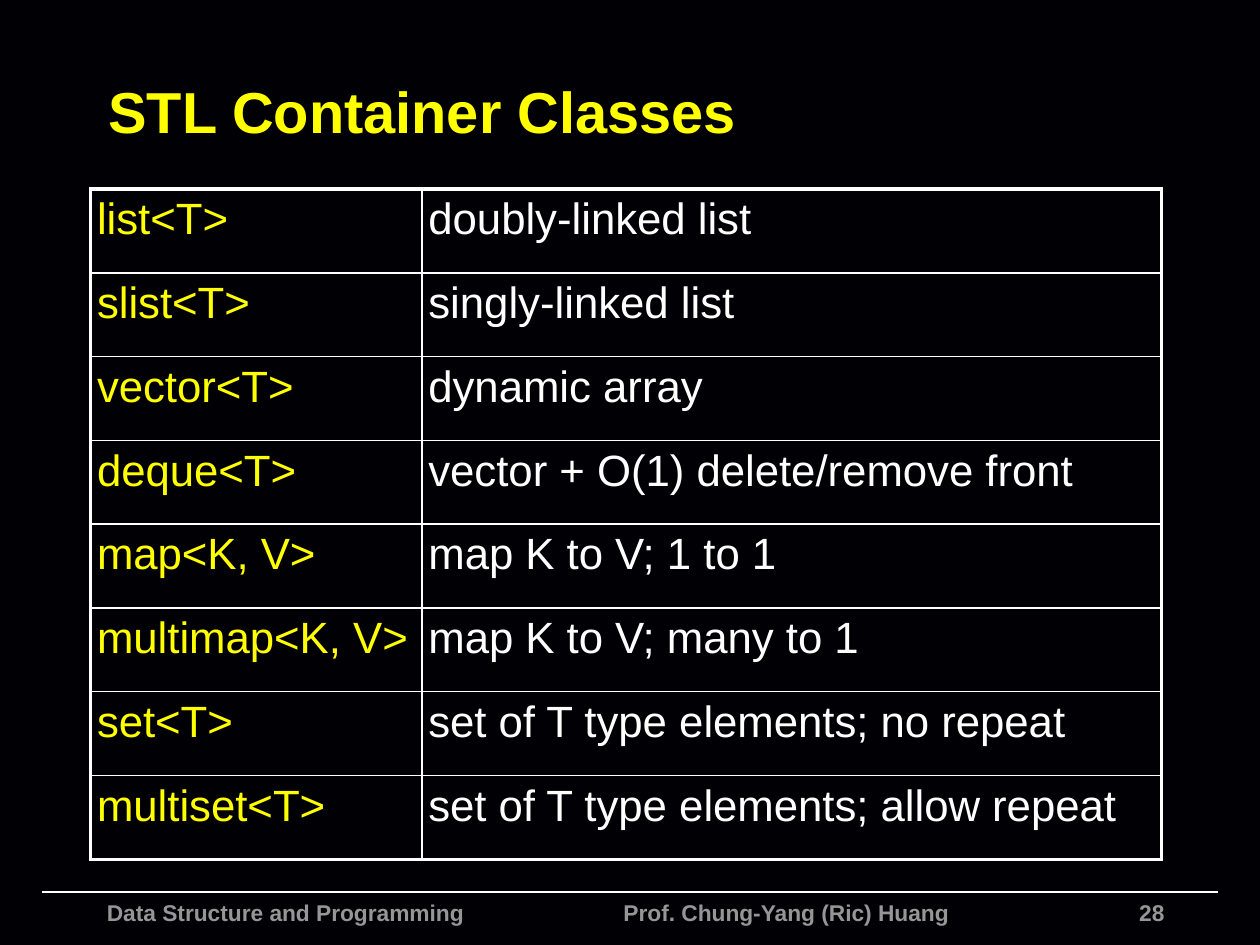
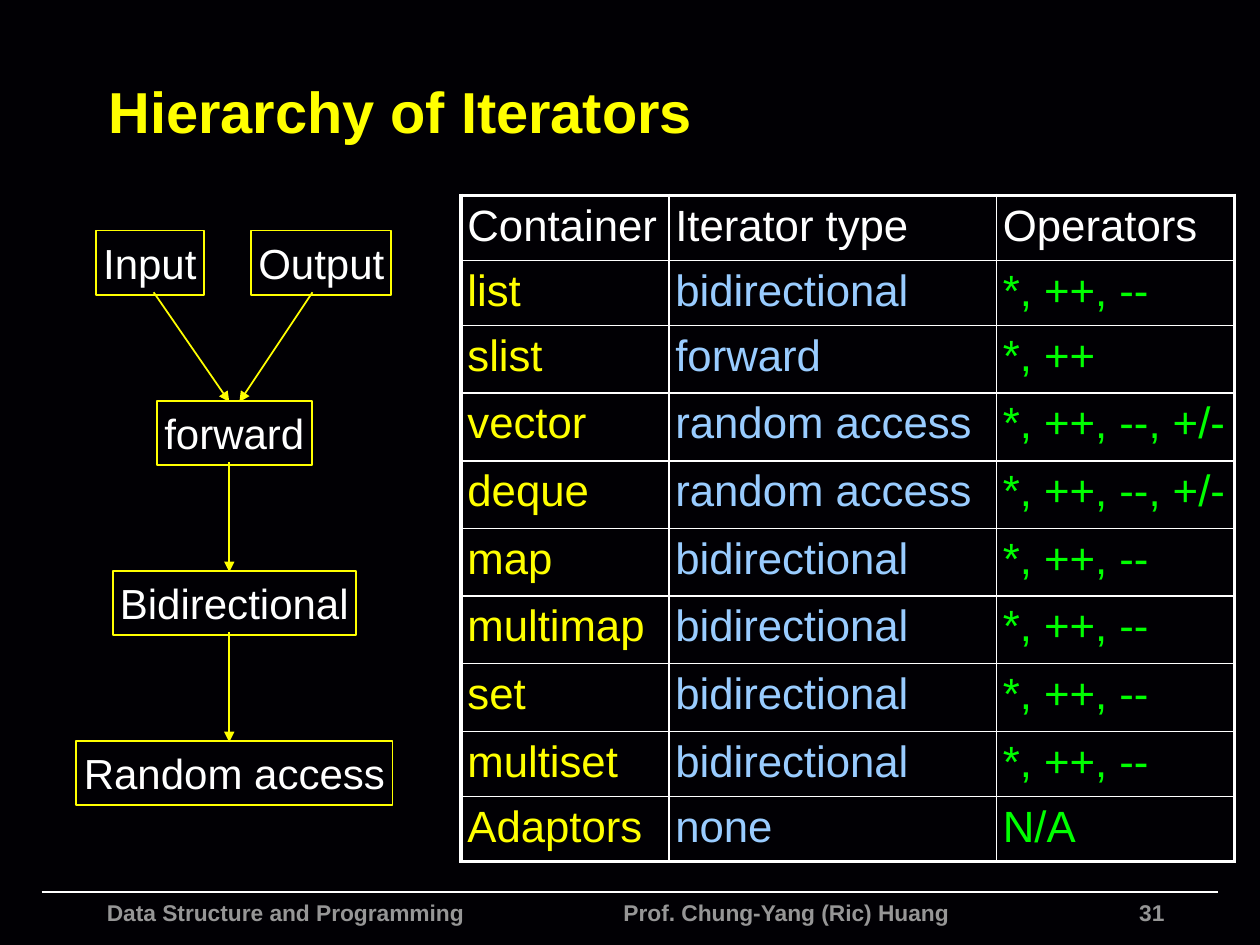
from lxml.etree import SubElement
from pptx import Presentation
from pptx.dml.color import RGBColor
from pptx.enum.shapes import MSO_CONNECTOR, MSO_SHAPE
from pptx.enum.text import MSO_ANCHOR, PP_ALIGN
from pptx.oxml import parse_xml
from pptx.oxml.ns import nsdecls, qn
from pptx.util import Inches, Pt

BLACK, WHITE, YELLOW = "010004", "FFFFFF", "FFFF00"
GREY, BLUE, GREEN = "969696", "99CCFF", "00FF00"
FONT = "Arial"
TITLE_FORMAT = {"size": Pt(33), "bold": True}
FOOTER_FORMAT = {"size": Pt(13), "bold": True}
CELL_FORMAT = {"size": Pt(25)}
BOX_FORMAT = {"size": Pt(24)}
THIN, THICK = 1, 2.25
WIDE_INSET, SMALL_INSET = 0.1, 0.05
FOOTER_TOP = 7.08
COURSE, TEACHER = "Data Structure and Programming", "Prof. Chung-Yang (Ric) Huang"

CONTAINERS = [
    ("list<T>", "doubly-linked list"),
    ("slist<T>", "singly-linked list"),
    ("vector<T>", "dynamic array"),
    ("deque<T>", "vector + O(1) delete/remove front"),
    ("map<K, V>", "map K to V; 1 to 1"),
    ("multimap<K, V>", "map K to V; many to 1"),
    ("set<T>", "set of T type elements; no repeat"),
    ("multiset<T>", "set of T type elements; allow repeat"),
]
ITERATOR_HEADER = ("Container", "Iterator type", "Operators")
ITERATORS = [
    ("list", "bidirectional", "*, ++, --"),
    ("slist", "forward", "*, ++"),
    ("vector", "random access", "*, ++, --, +/-"),
    ("deque", "random access", "*, ++, --, +/-"),
    ("map", "bidirectional", "*, ++, --"),
    ("multimap", "bidirectional", "*, ++, --"),
    ("set", "bidirectional", "*, ++, --"),
    ("multiset", "bidirectional", "*, ++, --"),
    ("Adaptors", "none", "N/A"),
]

LEVEL_TOP, LEVEL_STEP, BOX_HEIGHT = 1.83, 1.35, 0.51
ARROW_OFFSET, ARROW_DROP = 0.49, 0.87
CHAIN_CENTRE, CHAIN_ARROW = 1.86, 1.82
CATEGORIES = [
    ("Input", 0, 1.19, 0.86),
    ("Output", 0, 2.55, 1.11),
    ("forward", 1, CHAIN_CENTRE, 1.23),
    ("Bidirectional", 2, CHAIN_CENTRE, 1.93),
    ("Random access", 3, CHAIN_CENTRE, 2.51),
]
REFINEMENTS = [
    (0, 1.22, CHAIN_ARROW),
    (0, 2.48, 1.9),
    (1, CHAIN_ARROW, CHAIN_ARROW),
    (2, CHAIN_ARROW, CHAIN_ARROW),
]


def rgb(colour):
    """Turn a hex string into a colour."""
    return RGBColor.from_string(colour)


def set_all(target, values):
    """Set attributes from a dict of format values."""
    for attribute, value in values.items():
        setattr(target, attribute, value)


def write(frame, text, colour, font_format, align=PP_ALIGN.LEFT):
    """Write one formatted paragraph into a text frame."""
    paragraph = frame.paragraphs[0]
    paragraph.alignment = align
    run = paragraph.add_run()
    run.text = text
    set_all(run.font, {"name": FONT, **font_format})
    run.font.color.rgb = rgb(colour)
    return paragraph


def set_frame(frame, inset, anchor=MSO_ANCHOR.TOP, wrap=True):
    """Set the margins, anchor and wrapping of a text frame."""
    set_all(frame, {
        "margin_left": Inches(inset), "margin_right": Inches(inset),
        "margin_top": Inches(SMALL_INSET), "margin_bottom": Inches(SMALL_INSET),
        "vertical_anchor": anchor, "word_wrap": wrap,
    })


def add_line(slide, start, end, colour, arrow=False):
    """Draw a thin straight line, with an arrowhead on request."""
    line = slide.shapes.add_connector(
        MSO_CONNECTOR.STRAIGHT, *map(Inches, start + end))
    line.line.color.rgb = rgb(colour)
    line.line.width = Pt(THIN)
    properties = line._element.spPr
    if arrow:
        SubElement(properties.find(qn("a:ln")), qn("a:tailEnd"), type="triangle")
    SubElement(properties, qn("a:effectLst"))


def add_footer_text(slide, place, text, align=PP_ALIGN.LEFT):
    """Add a grey footer text and return its paragraph."""
    footer = slide.shapes.add_textbox(*map(Inches, place))
    set_frame(footer.text_frame, WIDE_INSET)
    return write(footer.text_frame, text, GREY, FOOTER_FORMAT, align)


def add_titled_slide(deck, title, number):
    """Add a slide with the shared title, rule and footer."""
    slide = deck.slides.add_slide(deck.slide_layouts[5])
    heading = slide.shapes.title
    set_all(heading, {"left": Inches(0.76), "top": Inches(0.37),
                      "width": Inches(8.84), "height": Inches(1.01)})
    set_frame(heading.text_frame, WIDE_INSET, MSO_ANCHOR.MIDDLE)
    write(heading.text_frame, title, YELLOW, TITLE_FORMAT)
    add_line(slide, (0.33, FOOTER_TOP), (9.67, FOOTER_TOP), WHITE)
    add_footer_text(slide, (6.17, FOOTER_TOP, 3.17, 0.18), str(number), PP_ALIGN.RIGHT)
    credit = add_footer_text(
        slide, (0.75, FOOTER_TOP, 7.24, 0.42), f"{COURSE}\t{TEACHER}")
    tabs = SubElement(credit._p.get_or_add_pPr(), qn("a:tabLst"))
    SubElement(tabs, qn("a:tab"), pos=str(Inches(4.1)), algn="l")
    return slide


def set_borders(cell, outer_sides):
    """Draw white borders, thick on the outer sides of the table."""
    properties = cell._tc.get_or_add_tcPr()
    for position, side in enumerate("LRTB"):
        width = Pt(THICK if side in outer_sides else THIN)
        properties.insert(position, parse_xml(
            f'<a:ln{side} {nsdecls("a")} w="{width}"><a:solidFill>'
            f'<a:srgbClr val="{WHITE}"/></a:solidFill></a:ln{side}>'))


def add_grid(slide, place, column_widths, row_weights, rows, colours, header=None):
    """Add an outlined table whose columns have their own text colours."""
    left, top, width, height = place
    lines = ([header] if header else []) + rows
    grid = slide.shapes.add_table(
        len(lines), len(column_widths), *map(Inches, place)).table
    set_all(grid, {"first_row": False, "horz_banding": False})
    for column, column_width in zip(grid.columns, column_widths):
        column.width = Inches(column_width)
    for row, weight in zip(grid.rows, row_weights):
        row.height = Inches(height * weight / sum(row_weights))
    last_row, last_column = len(lines) - 1, len(column_widths) - 1
    for r, line in enumerate(lines):
        for c, text in enumerate(line):
            cell = grid.cell(r, c)
            set_all(cell, {f"margin_{side}": Inches(SMALL_INSET)
                           for side in ("left", "right", "top", "bottom")})
            cell.fill.background()
            edges = {"L": c == 0, "R": c == last_column,
                     "T": r == 0, "B": r == last_row}
            set_borders(cell, [side for side, outer in edges.items() if outer])
            colour = WHITE if header and r == 0 else colours[c]
            write(cell.text_frame, text, colour, CELL_FORMAT)


def add_category(slide, name, level, centre, width):
    """Add the outlined box of one iterator category."""
    box = slide.shapes.add_shape(
        MSO_SHAPE.RECTANGLE, Inches(centre - width / 2),
        Inches(LEVEL_TOP + level * LEVEL_STEP), Inches(width), Inches(BOX_HEIGHT))
    box.shadow.inherit = False
    box.fill.background()
    box.line.color.rgb = rgb(YELLOW)
    box.line.width = Pt(THIN)
    set_frame(box.text_frame, SMALL_INSET, MSO_ANCHOR.MIDDLE, wrap=False)
    write(box.text_frame, name, WHITE, BOX_FORMAT, PP_ALIGN.CENTER)


def add_hierarchy(slide):
    """Draw the iterator categories and the arrows between levels."""
    for category in CATEGORIES:
        add_category(slide, *category)
    for level, start_x, end_x in REFINEMENTS:
        start_y = LEVEL_TOP + level * LEVEL_STEP + ARROW_OFFSET
        add_line(slide, (start_x, start_y), (end_x, start_y + ARROW_DROP), YELLOW, True)


def main():
    """Build the two slides and save them."""
    deck = Presentation()
    set_all(deck, {"slide_width": Inches(10), "slide_height": Inches(7.5)})
    backdrop = deck.slide_master.background.fill
    backdrop.solid()
    backdrop.fore_color.rgb = rgb(BLACK)

    containers = add_titled_slide(deck, "STL Container Classes", 28)
    add_grid(containers, (0.72, 1.5, 8.5, 5.32), (2.63, 5.87),
             [1] * len(CONTAINERS), CONTAINERS, (YELLOW, WHITE))

    iterators = add_titled_slide(deck, "Hierarchy of Iterators", 31)
    add_hierarchy(iterators)
    add_grid(iterators, (3.66, 1.55, 6.14, 5.29), (1.65, 2.6, 1.89),
             [0.52] * 2 + [0.54] * 6 + [0.52] * 2, ITERATORS,
             (YELLOW, BLUE, GREEN), ITERATOR_HEADER)
    deck.save("out.pptx")


if __name__ == "__main__":
    main()
